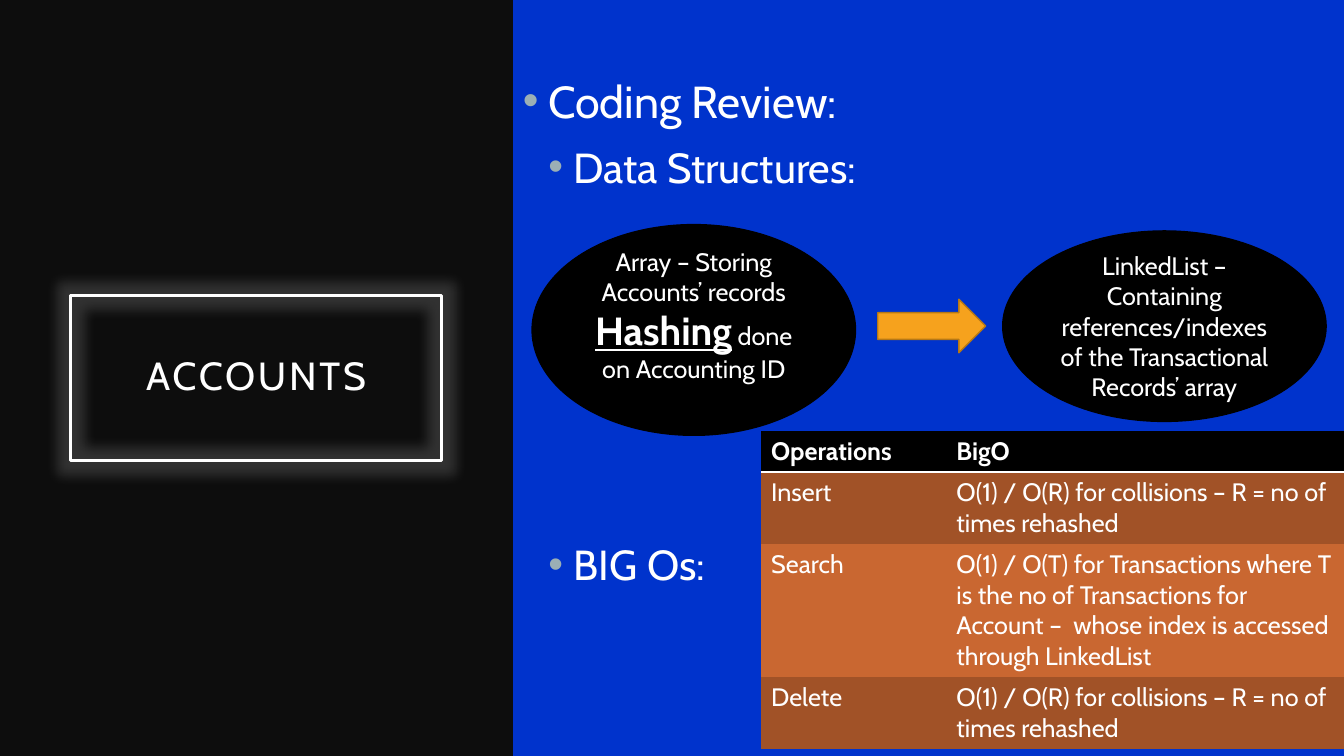
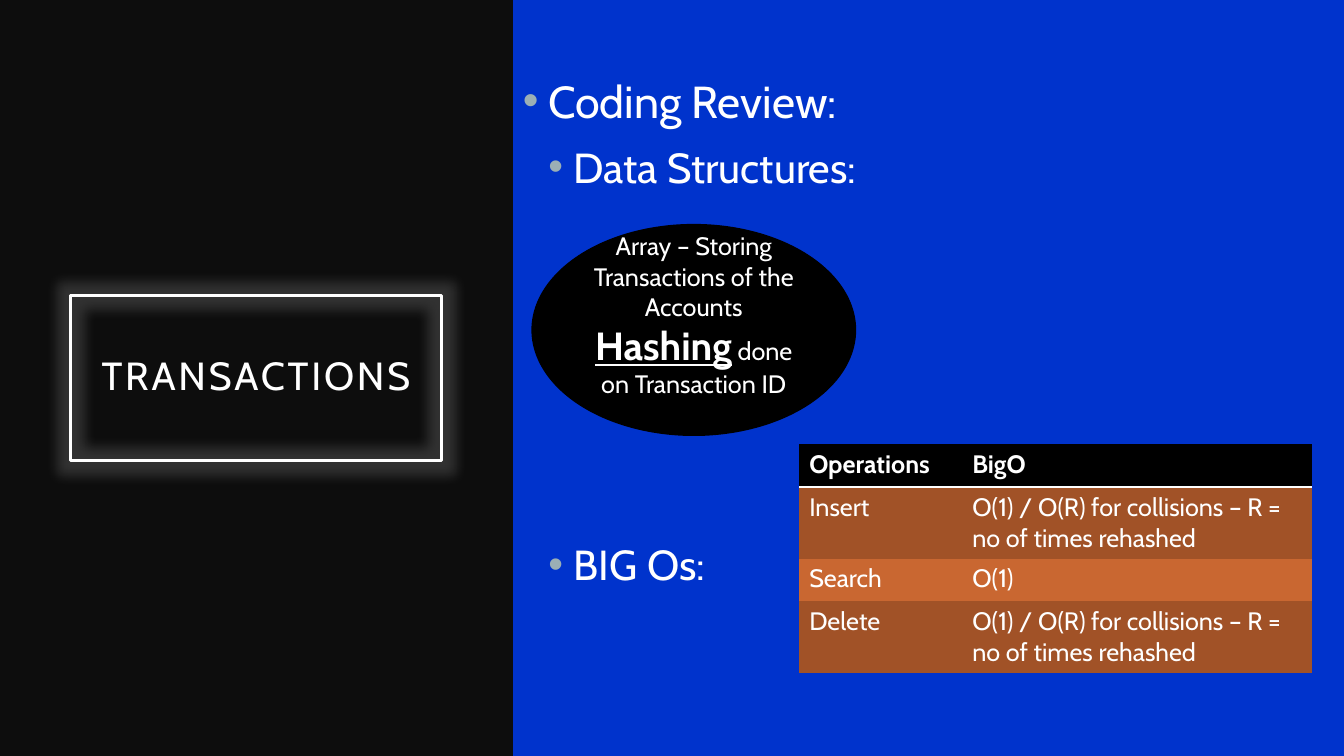
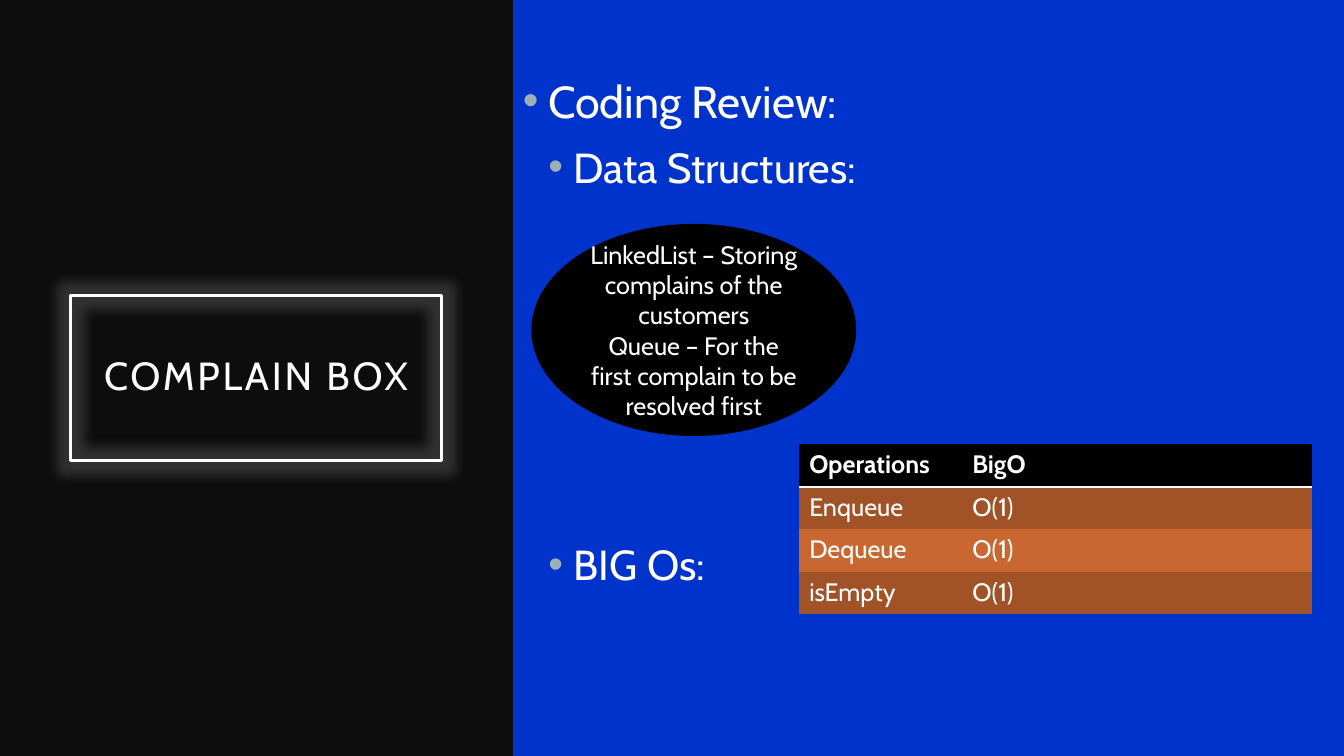
from dataclasses import dataclass

from lxml.etree import SubElement
from pptx import Presentation
from pptx.dml.color import RGBColor
from pptx.enum.shapes import MSO_SHAPE
from pptx.enum.text import MSO_ANCHOR, MSO_AUTO_SIZE, PP_ALIGN
from pptx.oxml import parse_xml
from pptx.oxml.ns import nsdecls, qn
from pptx.util import Cm, Pt

FONT = "Cabin"
WHITE = RGBColor(0xFF, 0xFF, 0xFF)
BLACK = RGBColor(0x00, 0x00, 0x00)
CHARCOAL = RGBColor(0x0D, 0x0D, 0x0D)
BLUE = RGBColor(0x00, 0x33, 0xCC)
GREY = RGBColor(0x9B, 0xAF, 0xB5)
ORANGE = RGBColor(0xF6, 0xA2, 0x1D)
OCHRE = RGBColor(0xB6, 0x78, 0x15)
BROWN = RGBColor(0xA1, 0x52, 0x27)
RUST = RGBColor(0xC9, 0x67, 0x31)

SLIDE_W, SLIDE_H, SIDE_W = 33.87, 19.05, 12.93
NO_STYLE = "{2D5ABB26-0587-4C30-8999-92F81FD0307C}"
KEYWORD = "Hashing"
HEADER = ("Operations", "BigO")
REHASH = "O(1) / O(R) for collisions – R = no of times rehashed"


@dataclass(frozen=True)
class Box:
    left: float
    top: float
    width: float
    height: float

    def emu(self) -> tuple[Cm, Cm, Cm, Cm]:
        return Cm(self.left), Cm(self.top), Cm(self.width), Cm(self.height)


@dataclass(frozen=True)
class Bullet:
    text: str
    size: int
    level: int
    before: int


@dataclass(frozen=True)
class Bubble:
    box: Box
    paragraphs: tuple[tuple[str, ...], ...]
    bottom: float = 0.13


@dataclass(frozen=True)
class Grid:
    left: float
    top: float
    widths: tuple[float, float]
    heights: tuple[float, ...]
    rows: tuple[tuple[str, str], ...]


@dataclass(frozen=True)
class Topic:
    title: str
    bubbles: tuple[Bubble, ...]
    grid: Grid


SIDE = Box(0, 0, SIDE_W, SLIDE_H)
PANEL = Box(SIDE_W, 0, SLIDE_W - SIDE_W, SLIDE_H)
TITLE = Box(1.78, 7.44, 9.35, 4.17)
FIRST = Box(13.41, 5.66, 8.15, 5.31)
SECOND = Box(25.27, 5.82, 8.15, 4.8)
ARROW = Box(22.12, 7.54, 2.72, 1.35)
RAISED = 0.89

BULLETS = (
    Bullet("Coding Review:", 32, 0, 0),
    Bullet("Data Structures:", 30, 1, 10),
    Bullet("BIG Os:", 30, 1, 248),
)

TOPICS = (
    Topic(
        "ACCOUNTS",
        (
            Bubble(FIRST, (("Array – Storing Accounts’ records",),
                           (KEYWORD, " done on Accounting ID")), RAISED),
            Bubble(SECOND, (("LinkedList – Containing references/indexes of "
                             "the Transactional Records’ array",),)),
        ),
        Grid(19.18, 10.87, (4.67, 10.01), (1.02, 1.8, 3.35, 1.8), (
            ("Insert", REHASH),
            ("Search", "O(1) / O(T) for Transactions where T is the no of "
                       "Transactions for Account –  whose index is accessed "
                       "through LinkedList"),
            ("Delete", REHASH),
        )),
    ),
    Topic(
        "TRANSACTIONS",
        (
            Bubble(FIRST, (("Array – Storing Transactions of the Accounts",),
                           (KEYWORD, " done on Transaction ID")), RAISED),
        ),
        Grid(20.14, 11.2, (4.11, 8.81), (1.07, 1.8, 1.07, 1.8), (
            ("Insert", REHASH), ("Search", "O(1)"), ("Delete", REHASH),
        )),
    ),
    Topic(
        "COMPLAIN BOX",
        (
            Bubble(FIRST, (("LinkedList – Storing complains of the customers",),
                           ("Queue – For the first complain to be resolved first",))),
        ),
        Grid(20.14, 11.2, (4.11, 8.81), (1.07,) * 4, (
            ("Enqueue", "O(1)"), ("Dequeue", "O(1)"), ("isEmpty", "O(1)"),
        )),
    ),
)


def style(r, size: int, bold: bool = False, underline: bool = False) -> None:
    r.font.name = FONT
    r.font.size = Pt(size)
    r.font.bold = bold
    r.font.underline = underline
    r.font.color.rgb = WHITE


def add_block(s, kind: MSO_SHAPE, box: Box, fill: RGBColor,
              line: RGBColor | None = None):
    sp = s.shapes.add_shape(kind, *box.emu())
    sp.shadow.inherit = False
    sp.fill.solid()
    sp.fill.fore_color.rgb = fill
    if line is None:
        sp.line.fill.background()
    else:
        sp.line.color.rgb = line
        sp.line.width = Pt(1)
    return sp


def add_outline(s) -> None:
    tf = add_block(s, MSO_SHAPE.RECTANGLE, PANEL, BLUE).text_frame
    tf.word_wrap = True
    tf.vertical_anchor = MSO_ANCHOR.TOP
    tf.margin_top = Cm(1.85)
    tf.text = "\n".join(b.text for b in BULLETS)
    for p, bullet in zip(tf.paragraphs, BULLETS):
        p.alignment = PP_ALIGN.LEFT
        p.level = bullet.level
        p.space_before = Pt(bullet.before)
        style(p.runs[0], bullet.size)
        pPr = p._p.get_or_add_pPr()
        pPr.set("marL", str(Cm(0.64 * (bullet.level + 1))))
        pPr.set("indent", str(-Cm(0.64)))
        color = SubElement(pPr, qn("a:buClr"))
        SubElement(color, qn("a:srgbClr"), val=str(GREY))
        SubElement(pPr, qn("a:buFont"), typeface="Arial")
        SubElement(pPr, qn("a:buChar"), char="•")


def add_bubble(s, bubble: Bubble) -> None:
    tf = add_block(s, MSO_SHAPE.OVAL, bubble.box, BLACK, BLACK).text_frame
    tf.word_wrap = True
    tf.vertical_anchor = MSO_ANCHOR.MIDDLE
    tf.margin_bottom = Cm(bubble.bottom)
    for i, texts in enumerate(bubble.paragraphs):
        p = tf.add_paragraph() if i else tf.paragraphs[0]
        p.alignment = PP_ALIGN.CENTER
        for text in texts:
            r = p.add_run()
            r.text = text
            key = text == KEYWORD
            style(r, 28 if key else 18, key, key)


def add_grid(s, grid: Grid) -> None:
    rows = (HEADER, *grid.rows)
    box = Box(grid.left, grid.top, sum(grid.widths), sum(grid.heights))
    table = s.shapes.add_table(len(rows), len(HEADER), *box.emu()).table
    table._tbl.tblPr.find(qn("a:tableStyleId")).text = NO_STYLE
    for column, width in zip(table.columns, grid.widths):
        column.width = Cm(width)
    for i, (row, height, texts) in enumerate(zip(table.rows, grid.heights, rows)):
        row.height = Cm(height)
        for cell, text in zip(row.cells, texts):
            cell.text_frame.text = text
            style(cell.text_frame.paragraphs[0].runs[0], 18, bold=i == 0)
            cell.fill.solid()
            cell.fill.fore_color.rgb = BLACK if i == 0 else BROWN if i % 2 else RUST
            if i == 0:
                cell._tc.get_or_add_tcPr().insert(0, parse_xml(
                    f'<a:lnB {nsdecls("a")} w="{Pt(2)}"><a:solidFill>'
                    f'<a:srgbClr val="{WHITE}"/></a:solidFill></a:lnB>'))


def format_title(s, text: str) -> None:
    sp = s.shapes.title
    sp.left, sp.top, sp.width, sp.height = TITLE.emu()
    sp.fill.background()
    sp.line.color.rgb = WHITE
    sp.line.width = Pt(2.5)
    sp._element.spPr.append(parse_xml(
        f'<a:effectLst {nsdecls("a")}><a:glow rad="{Cm(0.64)}">'
        f'<a:srgbClr val="{WHITE}"><a:alpha val="15000"/></a:srgbClr>'
        '</a:glow></a:effectLst>'))
    tf = sp.text_frame
    tf.text = text
    tf.word_wrap = True
    tf.auto_size = MSO_AUTO_SIZE.NONE
    tf.vertical_anchor = MSO_ANCHOR.MIDDLE
    tf.margin_left = tf.margin_right = tf.margin_top = tf.margin_bottom = Cm(0.51)
    p = tf.paragraphs[0]
    p.alignment = PP_ALIGN.CENTER
    p.line_spacing = 0.9
    r = p.runs[0]
    style(r, 28)
    r._r.get_or_add_rPr().set("spc", "200")
    s.shapes._spTree.append(sp._element)


def add_topic(prs, topic: Topic) -> None:
    s = prs.slides.add_slide(prs.slide_layouts[5])
    add_block(s, MSO_SHAPE.RECTANGLE, SIDE, CHARCOAL)
    add_outline(s)
    for bubble in topic.bubbles:
        add_bubble(s, bubble)
    if len(topic.bubbles) > 1:
        add_block(s, MSO_SHAPE.RIGHT_ARROW, ARROW, ORANGE, OCHRE)
    add_grid(s, topic.grid)
    format_title(s, topic.title)


def main() -> None:
    prs = Presentation()
    prs.slide_width, prs.slide_height = Cm(SLIDE_W), Cm(SLIDE_H)
    for topic in TOPICS:
        add_topic(prs, topic)
    prs.save("out.pptx")


if __name__ == "__main__":
    main()
